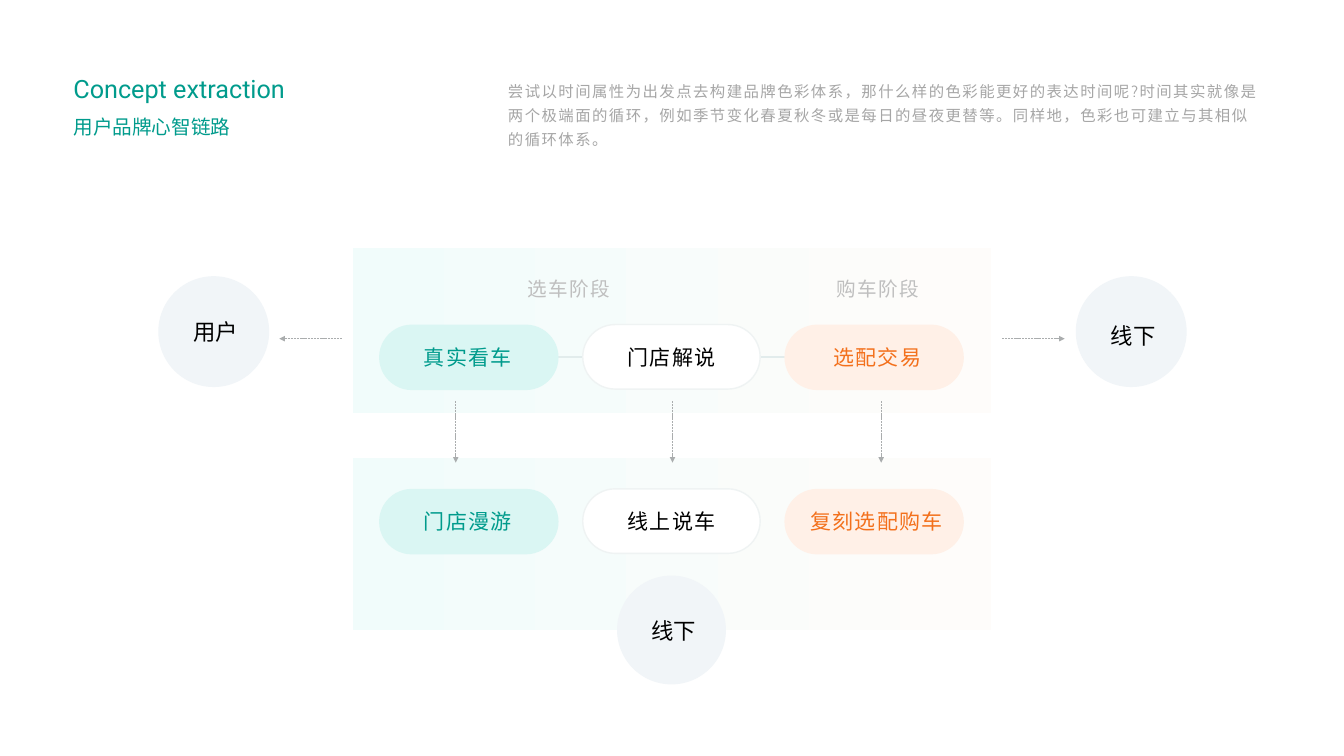
from lxml.etree import SubElement
from pptx import Presentation
from pptx.dml.color import RGBColor
from pptx.enum.dml import MSO_LINE
from pptx.enum.shapes import MSO_CONNECTOR, MSO_SHAPE
from pptx.enum.text import PP_ALIGN
from pptx.oxml.ns import qn
from pptx.util import Pt

SCALE = 9144  # EMU per px, 100 px to the inch
TEAL, BLACK, RUST = "009B8C", "000000", "F3701C"
GREY, PALE, RULE = "A6A6A6", "BFBFBF", "AAADAE"
# Pill column: left, width, height, label shift, fill, line, text colour
COLS = [
    (376, 178, 65, 23, "DAF6F3", None, TEAL),
    (578, 176, 64, 23, "FFFFFF", "EFF3F3", BLACK),
    (778, 178, 65, 27, "FFF0E7", None, RUST),
]
INTRO = (
    "尝试以时间属性为出发点去构建品牌色彩体系，那什么样的色彩能更好的表达时间呢?"
    "时间其实就像是两个极端面的循环，例如季节变化春夏秋冬或是每日的昼夜更替等。"
    "同样地，色彩也可建立与其相似的循环体系。"
)


def px(*vals):
    return [round(v * SCALE) for v in vals]


def rgb(code):
    return RGBColor.from_string(code)


def apply(item, vals):
    for name, val in vals.items():
        setattr(item, name, val)


def text(slide, box, words, size, face, color, gap=0, mid=True, lead=None):
    frame = slide.shapes.add_textbox(*px(*box)).text_frame
    frame.word_wrap = True
    para = frame.paragraphs[0]
    apply(para, {"alignment": PP_ALIGN.CENTER if mid else PP_ALIGN.LEFT,
                 "line_spacing": lead})
    run = para.add_run()
    run.text = words
    apply(run.font, {"size": Pt(size), "name": face})
    run.font.color.rgb = rgb(color)
    if gap:
        run.font._element.set("spc", str(gap * 100))


def shape(slide, kind, box, fill, line=None):
    item = slide.shapes.add_shape(kind, *px(*box))
    item.shadow.inherit = False
    if isinstance(fill, tuple):
        item.fill.gradient()
        item.fill.gradient_angle = 0
        for stop, code in zip(item.fill.gradient_stops, fill):
            stop.color.rgb = rgb(code)
    else:
        item.fill.solid()
        item.fill.fore_color.rgb = rgb(fill)
    if line:
        item.line.color.rgb = rgb(line)
        item.line.width = Pt(1)
    else:
        item.line.fill.background()
    return item


def rule(slide, ends, color, width, arrow=False):
    item = slide.shapes.add_connector(MSO_CONNECTOR.STRAIGHT, *px(*ends))
    item.line.color.rgb = rgb(color)
    item.line.width = Pt(width)
    if arrow:
        item.line.dash_style = MSO_LINE.SQUARE_DOT
        SubElement(item.line._get_or_add_ln(), qn("a:tailEnd"),
                   type="triangle", w="sm", len="sm")
    SubElement(item._element.spPr, qn("a:effectLst"))


def header(slide, x, y):
    text(slide, (x, y, 293, 40), "Concept extraction", 18, "Roboto", TEAL, mid=False)
    text(slide, (x, y + 41, 245, 34), "用户品牌心智链路", 14, "Karla", TEAL, mid=False)
    text(slide, (x + 431, y + 3, 770, 81), INTRO, 11, "Cabin", GREY, 1, False, 1.3)


def panel(slide, box, drop, names, link=False):
    shape(slide, MSO_SHAPE.RECTANGLE, box, ("F1FCFB", "FEFCFA"))
    top = box[1] + drop
    if link:
        rule(slide, (386, top + 32, 925, top + 32), "E2ECEC", 1)
    for (left, wide, high, shift, fill, line, ink), name in zip(COLS, names):
        pill = shape(slide, MSO_SHAPE.ROUNDED_RECTANGLE, (left, top, wide, high), fill, line)
        pill.adjustments[0] = 0.5
        # Longer names take the whole pill
        spot, room = (left, 183) if len(name) > 4 else (left + shift, 130)
        text(slide, (spot, top + 15, room, 35), name, 15, "Cabin", ink, 1)


def stages(slide, y):
    for x, name in ((499, "选车阶段"), (806, "购车阶段")):
        text(slide, (x, y, 130, 34), name, 14, "Cabin", PALE, 1)


def node(slide, x, y, size, name, drop):
    shape(slide, MSO_SHAPE.OVAL, (x, y, size, size), "F1F5F8")
    text(slide, (x + size / 2 - 63, y + drop, 130, 37), name, 16, "Karla", BLACK)


def arrows(slide):
    # Out to the side nodes
    rule(slide, (339, 336, 277, 336), RULE, 0.5, True)
    rule(slide, (994, 336, 1056, 336), RULE, 0.5, True)
    # Down from the upper panel to the lower one
    for x in (452, 667, 874):
        rule(slide, (x, 398, x, 459), RULE, 0.5, True)


def main():
    deck = Presentation()
    apply(deck, dict(zip(("slide_width", "slide_height"), px(1333, 750))))
    slide = deck.slides.add_slide(deck.slide_layouts[6])
    header(slide, 63, 68)
    # Two panels of pills
    panel(slide, (350, 246, 633, 164), 76, ["真实看车", "门店解说", "选配交易"], True)
    stages(slide, 270)
    panel(slide, (350, 454, 633, 171), 31, ["门店漫游", "线上说车", "复刻选配购车"])
    # Round nodes
    node(slide, 157, 274, 110, "用户", 37)
    node(slide, 1067, 274, 110, "线下", 41)
    node(slide, 612, 571, 108, "线下", 36)
    arrows(slide)
    deck.save("out.pptx")


if __name__ == "__main__":
    main()
